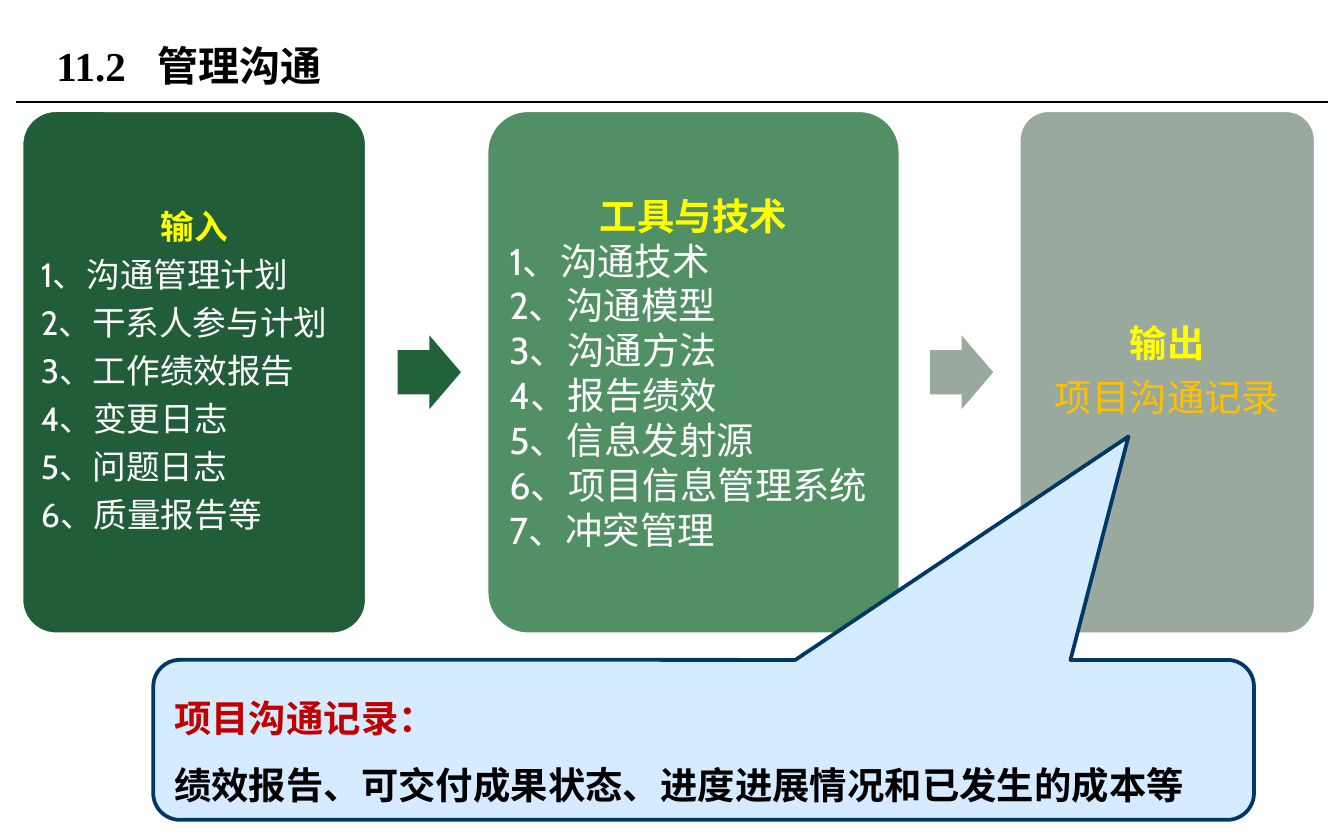
from dataclasses import dataclass

from lxml.etree import SubElement
from pptx import Presentation
from pptx.dml.color import RGBColor
from pptx.enum.shapes import MSO_CONNECTOR, MSO_SHAPE
from pptx.enum.text import MSO_ANCHOR, PP_ALIGN
from pptx.oxml.ns import qn
from pptx.util import Inches, Pt


@dataclass(frozen=True)
class Theme:
    head_font: str = "Times New Roman"
    font: str = "Cabin"
    black: str = "000000"
    white: str = "FFFFFF"
    yellow: str = "FFFF00"
    gold: str = "FFC000"
    red: str = "C00000"
    dark: str = "215D38"
    dark_arrow: str = "22623B"
    green: str = "519065"
    gray: str = "9AA99E"
    gray_arrow: str = "99A99D"
    pale: str = "D5EBFF"
    navy: str = "013868"
    title: int = 22
    large: int = 20
    small: int = 18


THEME = Theme()
TOP, HIGH = 0.82, 3.9  # shared by the three panels


def rgb(code):
    return RGBColor.from_string(code)


def write(para, text, size=THEME.large, color=THEME.black, font=THEME.font,
          bold=False, align=PP_ALIGN.LEFT, line=1.0, after=0):
    """Put formatted text in a paragraph."""
    para.alignment = align
    para.line_spacing = line
    para.space_after = Pt(after)
    run = para.add_run()
    run.text = text
    run.font.name = font
    run.font.size = Pt(size)
    run.font.bold = bold
    run.font.color.rgb = rgb(color)


def add_block(slide, kind, box, fill, edge=None, adjust=()):
    """Add a filled preset shape, outlined when an edge colour is given."""
    shape = slide.shapes.add_shape(kind, *map(Inches, box))
    shape.shadow.inherit = False
    for i, value in enumerate(adjust):
        shape.adjustments[i] = value
    shape.fill.solid()
    shape.fill.fore_color.rgb = rgb(fill)
    if edge:
        shape.line.color.rgb = rgb(edge)
        shape.line.width = Pt(2)
    else:
        shape.line.fill.background()
    return shape


def open_text(shape, inset=0.1):
    """Prepare the text frame of a shape and return it."""
    frame = shape.text_frame
    frame.word_wrap = True
    frame.vertical_anchor = MSO_ANCHOR.MIDDLE
    frame.margin_left = frame.margin_right = Inches(inset)
    frame.margin_top = frame.margin_bottom = Inches(min(inset, 0.08))
    return frame


def add_panel(slide, left, width, fill, head, items, inset=0.08,
              color=THEME.white, align=PP_ALIGN.LEFT, **style):
    """Add a rounded panel with a heading and lines below it."""
    shape = add_block(slide, MSO_SHAPE.ROUNDED_RECTANGLE,
                      (left, TOP, width, HIGH), fill, THEME.white, [0.1])
    frame = open_text(shape, inset)
    write(frame.paragraphs[0], head, color=THEME.yellow, bold=True,
          align=PP_ALIGN.CENTER, **style)
    for item in items:
        write(frame.add_paragraph(), item, color=color, align=align, **style)


def add_arrow(slide, left, fill):
    """Add a block arrow centred on the panels' height."""
    wide, high = 0.47, 0.55
    add_block(slide, MSO_SHAPE.RIGHT_ARROW,
              (left, TOP + (HIGH - high) / 2, wide, high), fill,
              adjust=[0.6, 0.5])


def add_title(slide, number, text):
    """Fill the title placeholder, with a tab after the number."""
    title = slide.shapes.title
    title.left, title.top = Inches(0.32), Inches(0.13)
    title.width, title.height = Inches(6.38), Inches(0.71)
    para = open_text(title).paragraphs[0]
    tabs = SubElement(para._p.get_or_add_pPr(), qn("a:tabLst"))
    SubElement(tabs, qn("a:tab"), pos=str(Inches(0.75)), algn="l")
    write(para, f"{number}\t{text}", size=THEME.title,
          font=THEME.head_font, bold=True)


def add_rule(slide):
    """Draw the thin line below the title."""
    ends = map(Inches, (0.12, 0.76, 9.88, 0.76))
    rule = slide.shapes.add_connector(MSO_CONNECTOR.STRAIGHT, *ends)
    rule.line.color.rgb = rgb(THEME.black)
    rule.line.width = Pt(0.75)
    SubElement(rule._element.spPr, qn("a:effectLst"))


def add_note(slide, head, text):
    """Add the callout that points at the output."""
    shape = add_block(slide, MSO_SHAPE.ROUNDED_RECTANGULAR_CALLOUT,
                      (1.14, 4.91, 8.19, 1.19), THEME.pale, THEME.navy,
                      [0.386, -1.897, 0.167])
    frame = open_text(shape)
    write(frame.paragraphs[0], head, color=THEME.red, bold=True, line=1.5)
    write(frame.add_paragraph(), text, bold=True, line=1.5)


def number(items):
    return [f"{i}、{item}" for i, item in enumerate(items, 1)]


def main():
    deck = Presentation()
    deck.slide_width, deck.slide_height = Inches(10), Inches(6.25)
    slide = deck.slides.add_slide(deck.slide_layouts[5])

    # Heading
    add_rule(slide)
    add_title(slide, "11.2", "管理沟通")

    # Inputs
    add_panel(slide, 0.16, 2.57, THEME.dark, "输入", number([
        "沟通管理计划", "干系人参与计划", "工作绩效报告",
        "变更日志", "问题日志", "质量报告等",
    ]), inset=0.07, size=THEME.small, line=0.9, after=6.3)
    add_arrow(slide, 2.96, THEME.dark_arrow)

    # Tools and techniques
    add_panel(slide, 3.62, 3.08, THEME.green, "工具与技术", number([
        "沟通技术", "沟通模型", "沟通方法", "报告绩效",
        "信息发射源", "项目信息管理系统", "冲突管理",
    ]))
    add_arrow(slide, 6.92, THEME.gray_arrow)

    # Outputs
    add_panel(slide, 7.58, 2.21, THEME.gray, "输出", ["项目沟通记录"],
              color=THEME.gold, align=PP_ALIGN.CENTER, line=0.9, after=7)

    # Explanation of the output
    add_note(slide, "项目沟通记录：",
             "绩效报告、可交付成果状态、进度进展情况和已发生的成本等")

    deck.save("out.pptx")


if __name__ == "__main__":
    main()
